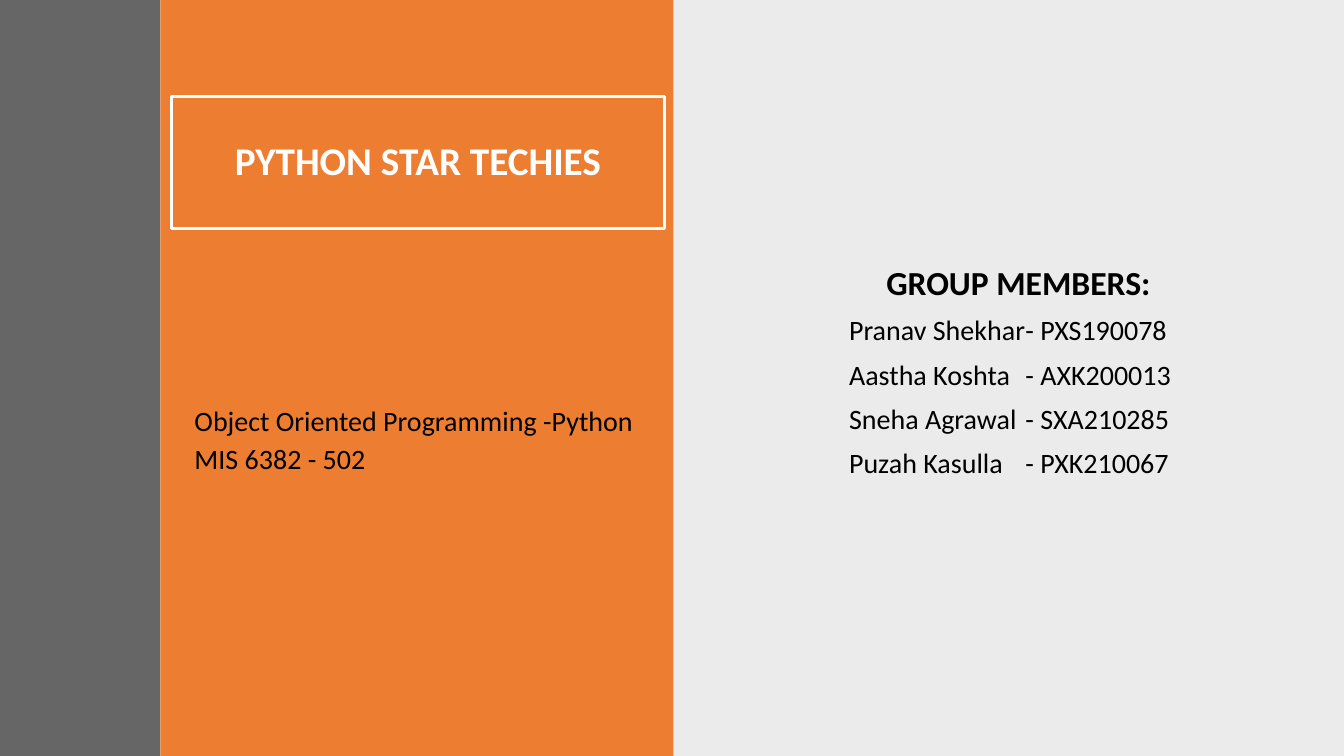
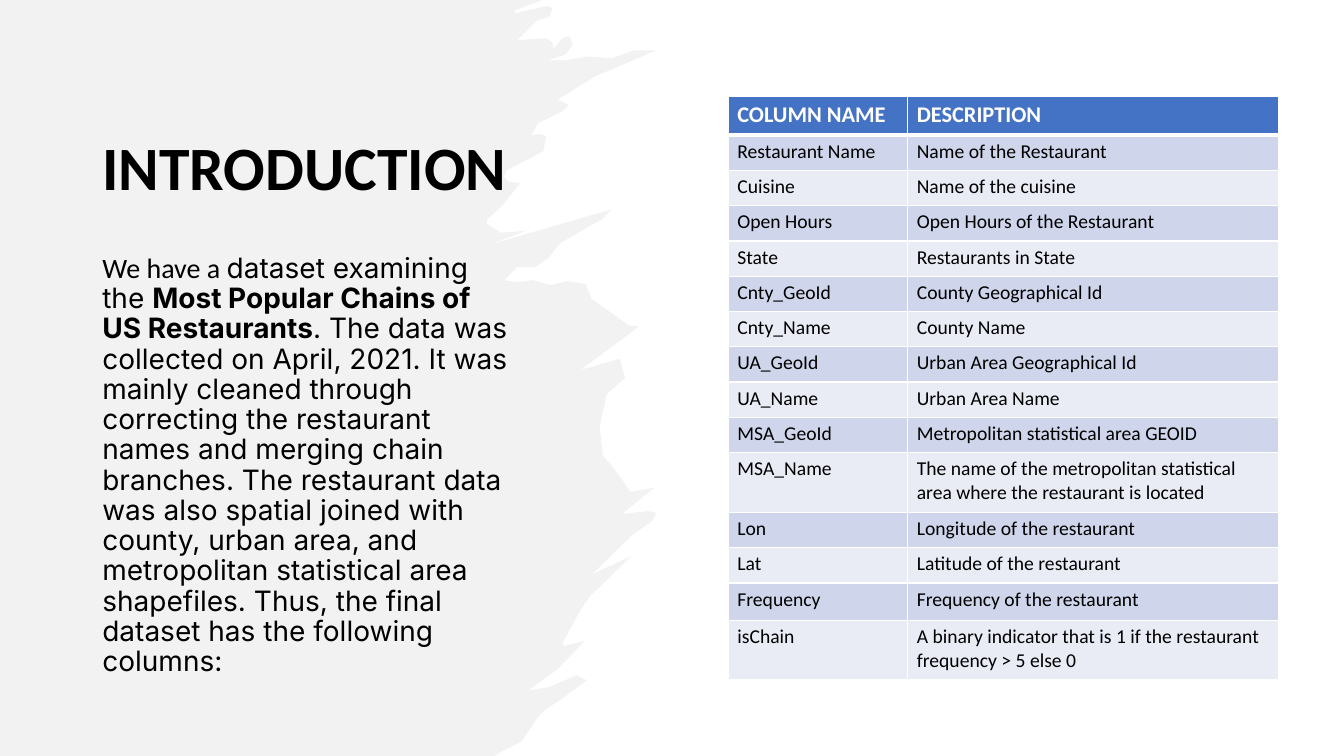
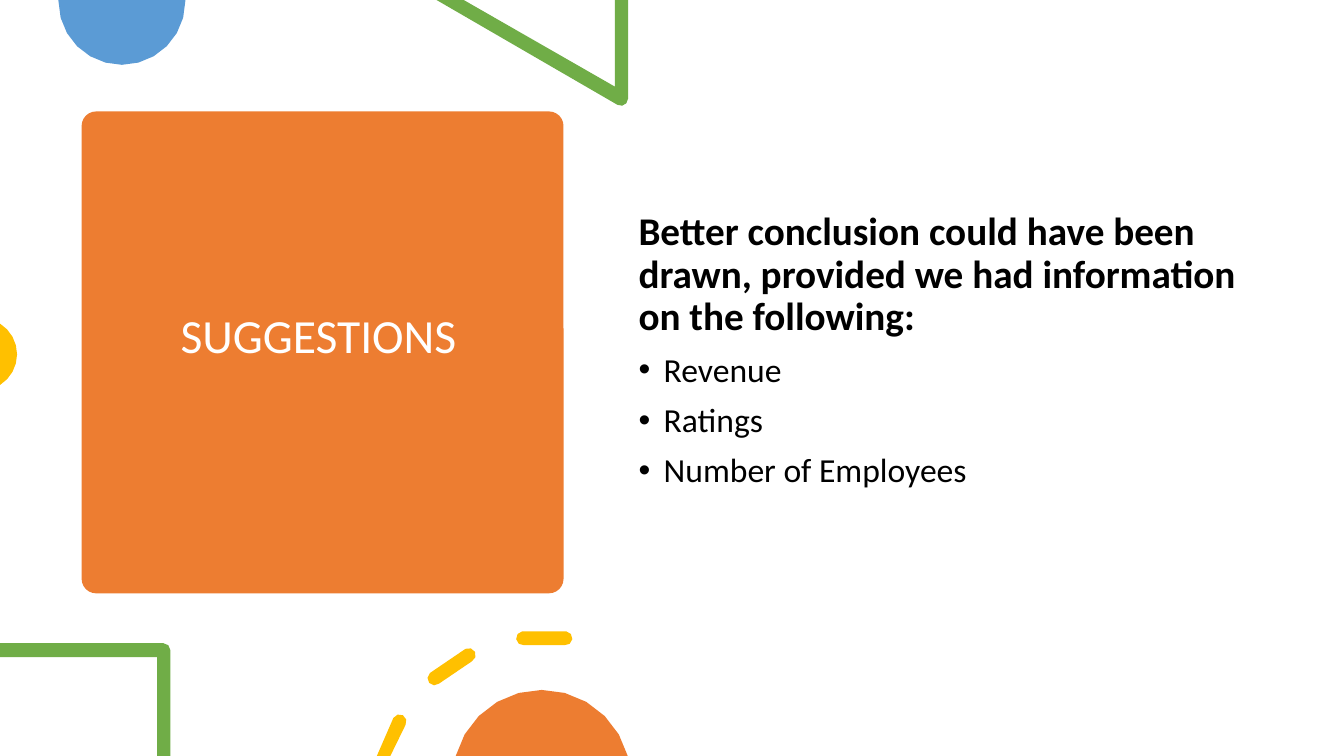
from math import cos, radians, sin

from lxml import etree
from pptx import Presentation
from pptx.dml.color import RGBColor
from pptx.enum.shapes import MSO_SHAPE
from pptx.enum.text import MSO_ANCHOR, PP_ALIGN
from pptx.oxml.ns import qn
from pptx.util import Pt

RECT, ROUND_RECT = MSO_SHAPE.RECTANGLE, MSO_SHAPE.ROUNDED_RECTANGLE
TOP, MIDDLE = MSO_ANCHOR.TOP, MSO_ANCHOR.MIDDLE
LEFT, CENTER = PP_ALIGN.LEFT, PP_ALIGN.CENTER

WIDTH, HEIGHT = 960, 540
FONT, BODY_FONT = "Calibri", "Inter"
BLACK, WHITE, CHARCOAL, LIGHT_GRAY = "000000", "FFFFFF", "404040", "E7E6E6"
ORANGE, BLUE, GREEN, YELLOW = "ED7D31", "5B9BD5", "70AD47", "FFC000"
HEADER_BLUE, BAND_DARK, BAND_LIGHT = "4472C4", "CFD5EA", "E9EBF5"


def rgb(color):
    return RGBColor.from_string(color)


def arc(cx, cy, radius, start, end):
    """Points along a circle; degrees run clockwise from the right."""
    step = 45 if radius < 10 else 15
    steps = max(1, round(abs(end - start) / step))
    angles = [radians(start + (end - start) * i / steps) for i in range(steps + 1)]
    return [(cx + radius * cos(a), cy + radius * sin(a)) for a in angles]


class Deck:
    def __init__(self):
        self.prs = Presentation()
        self.prs.slide_width, self.prs.slide_height = Pt(WIDTH), Pt(HEIGHT)
        self.s = None

    def new_slide(self):
        self.s = self.prs.slides.add_slide(self.prs.slide_layouts[6])

    def paint(self, sp, fill=None, line=None, opacity=100):
        sp.shadow.inherit = False
        if fill:
            sp.fill.solid()
            sp.fill.fore_color.rgb = rgb(fill)
            if opacity < 100:
                color = sp._element.spPr.find(qn("a:solidFill"))[0]
                etree.SubElement(color, qn("a:alpha"), val=str(opacity * 1000))
        else:
            sp.fill.background()
        if line:
            sp.line.color.rgb = rgb(line)
            sp.line.width = Pt(2)
        else:
            sp.line.fill.background()

    def shape(self, kind, box, fill=None, line=None, opacity=100):
        sp = self.s.shapes.add_shape(kind, *map(Pt, box))
        self.paint(sp, fill, line, opacity)
        return sp

    def freeform(self, contours, fill, opacity=100, unit=1):
        """Closed outlines whose coordinates count in units of so many points."""
        outlines = [[(Pt(x * unit), Pt(y * unit)) for x, y in c] for c in contours]
        builder = self.s.shapes.build_freeform(*outlines[0][0])
        for i, outline in enumerate(outlines):
            if i:
                builder.move_to(*outline[0])
            builder.add_line_segments(outline[1:], close=True)
        self.paint(builder.convert_to_shape(), fill, opacity=opacity)

    def text_box(self, box, anchor=TOP):
        tf = self.s.shapes.add_textbox(*map(Pt, box)).text_frame
        tf.word_wrap = True
        tf.vertical_anchor = anchor
        return tf

    def runs(self, p, runs, size, color=BLACK):
        """Each run is (text, bold) or (text, bold, font)."""
        for text, bold, *font in runs:
            r = p.add_run()
            r.text = text
            r.font.name = font[0] if font else FONT
            r.font.size, r.font.bold = Pt(size), bold
            r.font.color.rgb = rgb(color)

    def para(self, tf, runs, size, color=BLACK, align=LEFT, before=0, after=0,
             margin=0, indent=0, tab=None, bullet=False):
        p = tf.paragraphs[0] if not tf.paragraphs[0].runs else tf.add_paragraph()
        p.alignment, p.line_spacing = align, 0.9
        p.space_before, p.space_after = Pt(before), Pt(after)
        pPr = p._p.get_or_add_pPr()
        pPr.set("marL", str(Pt(margin)))
        pPr.set("indent", str(Pt(indent)))
        if bullet:
            etree.SubElement(pPr, qn("a:buFont"), typeface="Arial")
            etree.SubElement(pPr, qn("a:buChar"), char="•")
        if tab:
            stops = etree.SubElement(pPr, qn("a:tabLst"))
            etree.SubElement(stops, qn("a:tab"), pos=str(Pt(tab)), algn="l")
        self.runs(p, runs, size, color)

    def title(self, tf, text, size, color=BLACK, bold=True, align=LEFT):
        self.para(tf, [(text, bold)], size, color, align)

    def border(self, cell, side, width):
        ln = etree.SubElement(cell._tc.get_or_add_tcPr(), qn("a:ln" + side),
                              w=str(Pt(width)))
        fill = etree.SubElement(ln, qn("a:solidFill"))
        etree.SubElement(fill, qn("a:srgbClr"), val=WHITE)

    def table(self, left, top, widths, heights, rows):
        table = self.s.shapes.add_table(
            len(rows), len(widths), Pt(left), Pt(top),
            Pt(sum(widths)), Pt(sum(heights))).table
        for column, width in zip(table.columns, widths):
            column.width = Pt(width)
        for i, (row, height) in enumerate(zip(rows, heights)):
            table.rows[i].height = Pt(height)
            header = i == 0
            fill = HEADER_BLUE if header else BAND_DARK if i % 2 else BAND_LIGHT
            for j, text in enumerate(row):
                cell = table.cell(i, j)
                cell.margin_left = cell.margin_right = Pt(6.5)
                cell.margin_top = cell.margin_bottom = Pt(3.2)
                for side in "LRTB":
                    heavy = (i, side) in ((0, "B"), (1, "T"))
                    self.border(cell, side, 3 if heavy else 1)
                cell.fill.solid()
                cell.fill.fore_color.rgb = rgb(fill)
                self.runs(cell.text_frame.paragraphs[0], [(text, header)],
                          16 if header else 14, WHITE if header else BLACK)


# Ragged right edge of the brush stroke, bottom to top, in hundredths of an inch
BRUSH_UNIT = 0.72
BRUSH_EDGE = [
    (491, 750), (497, 746), (517, 736), (534, 711), (541, 704), (555, 695),
    (582, 675), (572, 670), (544, 682), (524, 685), (553, 664), (580, 636),
    (559, 641), (558, 638), (576, 605), (585, 592), (626, 552), (587, 570),
    (627, 531), (647, 517), (651, 509), (643, 507), (617, 510), (649, 484),
    (625, 488), (618, 477), (606, 461), (598, 452), (595, 423), (602, 391),
    (620, 375), (615, 356), (576, 367), (634, 324), (624, 323), (589, 298),
    (587, 297), (581, 282), (562, 279), (546, 283), (529, 278), (513, 280),
    (500, 278), (513, 265), (531, 265), (544, 256), (556, 241), (598, 217),
    (606, 208), (485, 243), (522, 229), (497, 231), (483, 222), (483, 218),
    (493, 209), (499, 203), (516, 182), (504, 180), (500, 175), (503, 169),
    (539, 150), (542, 135), (535, 133), (527, 134), (534, 122), (559, 110),
    (564, 104), (558, 101), (553, 99), (590, 76), (651, 50), (629, 50),
    (607, 58), (584, 56), (562, 60), (543, 60), (561, 54), (568, 45),
    (565, 36), (558, 38), (549, 49), (548, 42), (542, 38), (513, 40),
    (533, 20), (545, 17), (548, 8), (542, 6), (513, 13), (509, 11),
    (525, 5), (538, 0),
]

COLUMNS = [
    ("COLUMN NAME", "DESCRIPTION"),
    ("Restaurant Name", "Name of the Restaurant"),
    ("Cuisine", "Name of the cuisine"),
    ("Open Hours", "Open Hours of the Restaurant"),
    ("State", "Restaurants in State"),
    ("Cnty_GeoId", "County Geographical Id"),
    ("Cnty_Name", "County Name"),
    ("UA_GeoId", "Urban Area Geographical Id"),
    ("UA_Name", "Urban Area Name"),
    ("MSA_GeoId", "Metropolitan statistical area GEOID"),
    ("MSA_Name", "The name of the metropolitan statistical area where the "
                 "restaurant is located"),
    ("Lon", "Longitude of the restaurant"),
    ("Lat", "Latitude of the restaurant"),
    ("Frequency", "Frequency of the restaurant"),
    ("isChain", "A binary indicator that is 1 if the restaurant frequency > 5 else 0"),
]

MEMBERS = [
    ("Pranav Shekhar", "PXS190078"),
    ("Aastha Koshta", "AXK200013"),
    ("Sneha Agrawal", "SXA210285"),
    ("Puzah Kasulla", "PXK210067"),
]


def team_slide(deck):
    deck.new_slide()
    # Panels
    deck.shape(RECT, (480, 0, 480, HEIGHT), BLACK, opacity=8)
    deck.shape(RECT, (114.5, 0, 366.5, HEIGHT), ORANGE)
    frame = deck.shape(RECT, (122.4, 68.8, 352.1, 94.3), line=WHITE)
    deck.title(frame.text_frame, "PYTHON STAR TECHIES", 28, WHITE, align=CENTER)
    deck.shape(RECT, (0, 0, 114.5, HEIGHT), CHARCOAL, opacity=80)

    # Group members
    tf = deck.text_box((545.4, 186.8, 398.2, 200.9))
    deck.para(tf, [("GROUP MEMBERS:", True)], 24, before=10, indent=80.6)
    for name, code in MEMBERS:
        deck.para(tf, [(f"{name}\t- {code}", False)], 20, before=10,
                  indent=54, tab=182.5)

    # Course
    tf = deck.text_box((131.8, 287.3, 352.1, 81.4))
    for line in ("Object Oriented Programming -Python", "MIS 6382 - 502"):
        deck.para(tf, [(line, False)], 20, after=6)


def introduction_slide(deck):
    deck.new_slide()
    deck.freeform([[(0, 0), (0, 750)] + BRUSH_EDGE], LIGHT_GRAY, 50, BRUSH_UNIT)
    deck.title(deck.text_box((66, 50.7, 306, 141.8), MIDDLE), "INTRODUCTION", 44)

    tf = deck.text_box((66, 178.1, 306, 280.1))
    deck.para(tf, [
        ("We have a ", False),
        ("dataset examining the ", False, BODY_FONT),
        ("Most Popular Chains of US Restaurants", True, BODY_FONT),
        (". The data was collected on April, 2021. It was mainly cleaned through "
         "correcting the restaurant names and merging chain branches. The restaurant "
         "data was also spatial joined with county, urban area, and metropolitan "
         "statistical area shapefiles. Thus, the final dataset has the following "
         "columns:", False, BODY_FONT),
    ], 20, before=10)

    # Columns of the dataset
    heights = [27.4] + [25.2] * 9 + [42.7] + [25.2] * 2 + [26.6, 42.7]
    deck.table(520.2, 69.1, (128.2, 265), heights, COLUMNS)


def dash(start, end, cut=False):
    """A thick arc with round ends; a cut one stops flat at the slide's bottom."""
    cx, cy, radius, half = 388.8, 573.8, 118.8, 5
    middle = arc(cx, cy, radius, start, end)
    outline = arc(cx, cy, radius + half, start, end)
    outline += arc(*middle[-1], half, end, end + 180)[1:]
    outline += arc(cx, cy, radius - half, end, start)[1:]
    if not cut:
        outline += arc(*middle[0], half, start + 180, start + 360)[1:-1]
    return [(x, min(y, HEIGHT)) for x, y in outline]


def suggestions_slide(deck):
    deck.new_slide()
    # Title card
    card = deck.shape(ROUND_RECT, (58.3, 79.6, 344.2, 344.2), ORANGE)
    card.adjustments[0] = 0.03
    deck.title(deck.text_box((121.9, 77.3, 310.3, 328.3), MIDDLE),
               "SUGGESTIONS", 34, WHITE, bold=False)

    # Decorations along the top and left edges
    deck.freeform([[(132.4, 0)] + arc(87.1, 1, 45.3, 0, 180) + [(41.8, 0)]], BLUE)
    deck.freeform([[(448.6, 0), (439.2, 0), (439.2, 61.9), (331.2, 0), (311.8, 0)]
                   + arc(443.6, 70.6, 5, 120, 0)], GREEN)
    deck.freeform([arc(-13.6, 253.1, 25.8, -58, 58)], YELLOW)

    # Wanted information
    tf = deck.text_box((449, 147.9, 445, 244.8))
    deck.para(tf, [("Better conclusion could have been drawn, provided we had "
                    "information on the following:", True)], 28, before=10)
    for item in ("Revenue", "Ratings", "Number of Employees"):
        deck.para(tf, [(item, False)], 24, before=10, margin=18, indent=-18,
                  bullet=True)

    # Decorations along the bottom edge
    deck.freeform([[(0, 459.4)] + arc(116.7, 464.4, 5, 270, 360)
                   + [(121.7, HEIGHT), (112.3, HEIGHT), (112.3, 469.4), (0, 469.4)]],
                  GREEN)
    deck.freeform([dash(195, 209.5, cut=True), dash(228.7, 243), dash(262.7, 277.3)],
                  YELLOW)
    deck.freeform([arc(387, 556.4, 63.6, 195, 345)], ORANGE)


def main():
    deck = Deck()
    team_slide(deck)
    introduction_slide(deck)
    suggestions_slide(deck)
    deck.prs.save("out.pptx")


if __name__ == "__main__":
    main()
